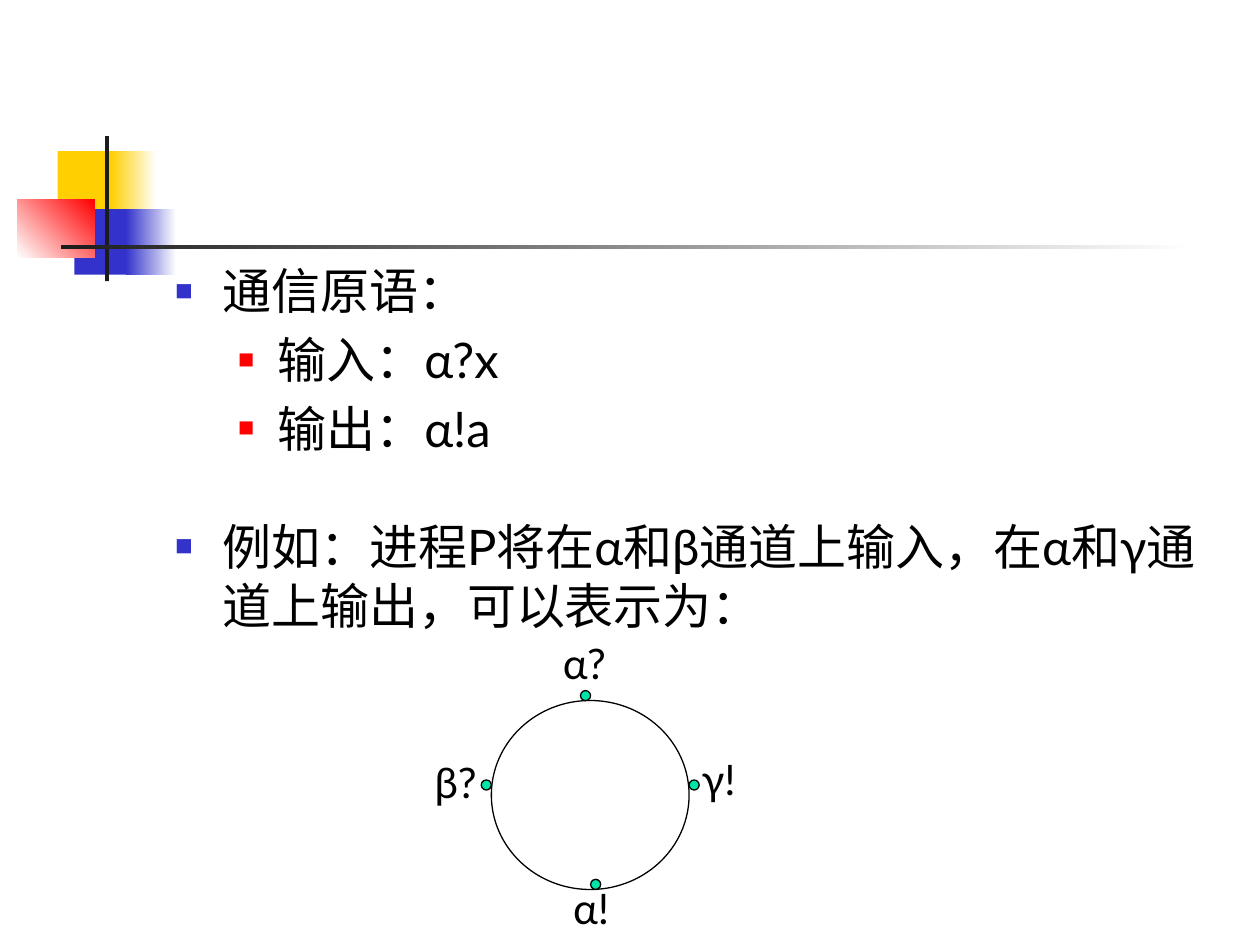
"""Build the slide on communication primitives with a process and its channels."""
from lxml.etree import SubElement
from pptx import Presentation
from pptx.dml.color import RGBColor
from pptx.enum.shapes import MSO_SHAPE
from pptx.enum.text import MSO_AUTO_SIZE
from pptx.oxml.ns import qn
from pptx.util import Pt


def add_filled(kind, box, fill=None, fade=None, angle=0, line=None):
    shape = slide.shapes.add_shape(kind, *[Pt(length) for length in box])
    shape.shadow.inherit = False
    if fade:
        shape.fill.gradient()
        shape.fill.gradient_angle = angle
        for stop, color in zip(shape.fill.gradient_stops, (fill, fade)):
            stop.color.rgb = RGBColor.from_string(color)
    elif fill:
        shape.fill.solid()
        shape.fill.fore_color.rgb = RGBColor.from_string(fill)
    else:
        shape.fill.background()
    if line:
        shape.line.color.rgb = RGBColor.from_string(line)
        shape.line.width = Pt(0.75)
    else:
        shape.line.fill.background()


def write(paragraph, text, size=24, before=0, level=0, bullet=None):
    paragraph.text = text
    paragraph.level = level
    paragraph.space_before = Pt(before)
    if bullet:
        color, percent, left, hanging = bullet
        properties = paragraph._p.get_or_add_pPr()
        properties.set("marL", str(Pt(left)))
        properties.set("indent", str(-Pt(hanging)))
        bullet_color = SubElement(properties, qn("a:buClr"))
        SubElement(bullet_color, qn("a:srgbClr"), val=color)
        SubElement(properties, qn("a:buSzPct"), val=str(percent * 1000))
        SubElement(properties, qn("a:buChar"), char="■")
    font = paragraph.runs[0].font
    font.name = "Lato"
    font.size = Pt(size)
    font.color.rgb = RGBColor.from_string("000000")


presentation = Presentation()
presentation.slide_width, presentation.slide_height = Pt(720), Pt(540)
slide = presentation.slides.add_slide(presentation.slide_layouts[1])
title = slide.shapes.title.element
title.getparent().remove(title)

YELLOW, BLUE, RED, DARK, WHITE = "FFCF01", "3333CC", "FF0000", "1C1C1C", "FFFFFF"
for box, fill, fade, angle in [
    ((33, 86.4, 34.5, 37.4), YELLOW, None, 0),
    ((63.4, 86.4, 26, 37.4), YELLOW, WHITE, 0),
    ((42.5, 119.5, 33, 37.4), BLUE, None, 0),
    ((72, 119.5, 28.8, 37.4), BLUE, WHITE, 0),
    ((10, 113.8, 44, 33.1), WHITE, RED, 45),
    ((60, 77.8, 2.3, 82.8), DARK, None, 0),
    ((34.6, 140, 648, 2.5), DARK, WHITE, 0),
]:
    add_filled(MSO_SHAPE.RECTANGLE, box, fill, fade, angle)

body = slide.placeholders[1]
body.left, body.top, body.width, body.height = Pt(92.9), Pt(145.4), Pt(612), Pt(255)
frame = body.text_frame
frame.auto_size = MSO_AUTO_SIZE.NONE
bullets = [(BLUE, 60, 27, 27), (RED, 55, 58.5, 22.5)]
for index, (text, level, before) in enumerate([
    ("通信原语：", 0, 0),
    ("输入：α?x", 1, 5.6),
    ("输出：α!a", 1, 5.6),
    ("例如：进程P将在α和β通道上输入，在α和γ通道上输出，可以表示为：", 0, 34),
]):
    paragraph = frame.add_paragraph() if index else frame.paragraphs[0]
    write(paragraph, text, size=28, before=before, level=level, bullet=bullets[level])

add_filled(MSO_SHAPE.OVAL, (280.8, 400.3, 113, 108), line="000000")
for text, label_left, label_top, dot_left, dot_top in [
    ("α?", 314.6, 361, 331.7, 394.6),
    ("β?", 241.2, 428.6, 275, 445.7),
    ("α!", 320.4, 500.6, 337.5, 502.5),
    ("γ!", 393.8, 427, 393.8, 445.7),
]:
    label = slide.shapes.add_textbox(Pt(label_left), Pt(label_top), Pt(39.6), Pt(36))
    label.text_frame.word_wrap = False
    write(label.text_frame.paragraphs[0], text)
    add_filled(MSO_SHAPE.OVAL, (dot_left, dot_top, 5.76, 5.76), "00E4A8", line="000000")

presentation.save("out.pptx")
